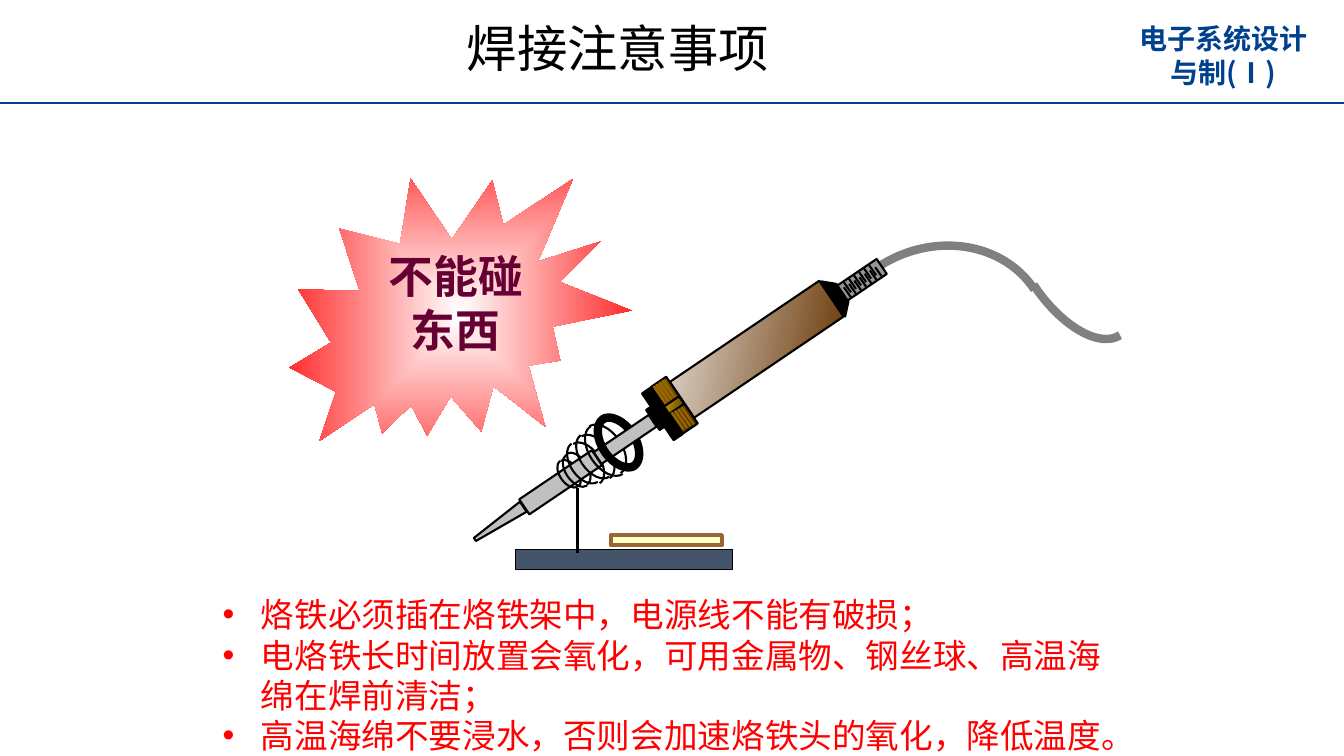
from lxml.etree import SubElement
from pptx import Presentation
from pptx.dml.color import RGBColor
from pptx.enum.shapes import MSO_CONNECTOR, MSO_SHAPE
from pptx.enum.text import MSO_ANCHOR, PP_ALIGN
from pptx.oxml.ns import qn
from pptx.util import Inches, Pt

SANS_JP = "Noto Sans CJK JP"
SANS_SC = "Noto Sans CJK SC"
TILT = 55.9


def rgb(value):
    return RGBColor.from_string(value)


def add_text(s, box, lines, size, font, color, bold=False, align=PP_ALIGN.LEFT,
             anchor=MSO_ANCHOR.MIDDLE, spacing=None, bullet=False, east_asian=None):
    tf = s.shapes.add_textbox(*map(Inches, box)).text_frame
    tf.word_wrap = True
    tf.vertical_anchor = anchor
    tf.text = "\n".join(lines)
    for p in tf.paragraphs:
        p.alignment = align
        if spacing:
            p.line_spacing = spacing
        if bullet:
            pPr = p._p.get_or_add_pPr()
            pPr.set("marL", str(Inches(0.38)))
            pPr.set("indent", str(-Inches(0.38)))
            SubElement(pPr, qn("a:buFont")).set("typeface", "Arial")
            SubElement(pPr, qn("a:buChar")).set("char", "•")
        r = p.runs[0]
        r.font.size, r.font.name, r.font.bold = Pt(size), font, bold
        r.font.color.rgb = rgb(color)
        SubElement(r._r.get_or_add_rPr(), qn("a:ea")).set("typeface", east_asian or font)


def paint(sp, fill=None, line=None, width=1.5):
    """Fill with one colour, a pair of gradient colours, or nothing."""
    sp.shadow.inherit = False
    if fill is None:
        sp.fill.background()
    elif isinstance(fill, tuple):
        sp.fill.gradient()
        sp.fill.gradient_angle = 45
        for stop, color, position in zip(sp.fill.gradient_stops, fill, (0, 1)):
            stop.color.rgb, stop.position = rgb(color), position
    else:
        sp.fill.solid()
        sp.fill.fore_color.rgb = rgb(fill)
    if line:
        sp.line.color.rgb = rgb(line)
        sp.line.width = Pt(width)
    else:
        sp.line.fill.background()


def add_block(s, box, fill, line="000000", width=1.5, rotation=0, kind=MSO_SHAPE.RECTANGLE):
    sp = s.shapes.add_shape(kind, *map(Inches, box))
    sp.rotation = rotation
    paint(sp, fill, line, width)
    return sp


def add_line(s, x1, y1, x2, y2, color, width=1.5):
    line = s.shapes.add_connector(MSO_CONNECTOR.STRAIGHT, *map(Inches, (x1, y1, x2, y2)))
    line.line.color.rgb = rgb(color)
    line.line.width = Pt(width)
    SubElement(line._element.spPr, qn("a:effectLst"))


def add_outline(s, box, points, rotation, fill, line, width=1.5, close=True):
    """Outline through points given as fractions of the box."""
    x, y, w, h = box
    points = [(Inches(x + fx * w), Inches(y + fy * h)) for fx, fy in points]
    fb = s.shapes.build_freeform(*points[0])
    fb.add_line_segments(points[1:], close=close)
    sp = fb.convert_to_shape()
    sp.rotation = rotation
    paint(sp, fill, line, width)
    return sp


def add_arc(s, box, quarters, rotation, color, width):
    """Quarter ellipses, each given as centre, start and end."""
    k = 0.55
    points = [quarters[0][1]]
    for c, a, b in quarters:
        points.append([a[i] + k * (b[i] - c[i]) for i in (0, 1)])
        points.append([b[i] + k * (a[i] - c[i]) for i in (0, 1)])
        points.append(b)
    sp = add_outline(s, box, points, rotation, None, color, width, close=False)
    # Turn each three segments into one Bezier curve
    segments = list(sp._element.iter(qn("a:lnTo")))
    trace = segments[0].getparent()
    for i in range(0, len(segments), 3):
        curve = SubElement(trace, qn("a:cubicBezTo"))
        for segment in segments[i:i + 3]:
            curve.append(segment[0])
            trace.remove(segment)


def add_hatch(s, first, last, stroke, count, color):
    for i in range(count):
        x, y = [a + (b - a) * i / (count - 1) for a, b in zip(first, last)]
        add_line(s, x, y, x + stroke[0], y + stroke[1], color)


def header(s, x, y, w):
    add_text(s, (x + w - 2.19, y + 0.27, 1.99, 0.56), ["电子系统设计与制(Ⅰ)"], 20,
             SANS_SC, "00418D", bold=True, align=PP_ALIGN.CENTER)
    add_line(s, x, y + 1.02, x + w, y + 1.02, "003F8C")
    add_text(s, (x + 4.53, y + 0.14, 4.39, 0.74), ["焊接注意事项"], 36, SANS_JP,
             "000000", spacing=0.9)


def coil(s, x, y, rings, base, rotation):
    """Half rings whose flat side lies at the top (0) or bottom (1) of each box."""
    center, peak = (0.5, base), (0.5, 1 - base)
    quarters = [(center, (1, base), peak), (center, peak, (0, base))]
    for left, top, w, h, width in rings:
        add_arc(s, (x + left, y + top, w, h), quarters, rotation, "000000", width)


def back_coil(s, x, y):
    coil(s, x, y, [(1.58, 2.57, 0.37, 0.11, 1.5), (1.64, 2.49, 0.47, 0.14, 1.5),
                   (1.72, 2.42, 0.5, 0.15, 1.5), (1.79, 2.33, 0.56, 0.17, 1.5),
                   (1.92, 2.26, 0.56, 0.17, 6), (1.53, 2.63, 0.31, 0.09, 1.5)], 0, 236)


def front_coil(s, x, y):
    coil(s, x, y, [(1.49, 2.64, 0.37, 0.11, 1.5), (1.51, 2.56, 0.46, 0.14, 1.5),
                   (1.59, 2.49, 0.5, 0.15, 1.5), (1.66, 2.43, 0.57, 0.17, 1.5),
                   (1.79, 2.35, 0.56, 0.17, 6), (1.45, 2.68, 0.31, 0.09, 1.5)], 1, 235.6)


def iron(s, x, y):
    def part(left, top, w, h, fill):
        add_block(s, (x + left, y + top, w, h), fill, rotation=TILT)

    def outline(left, top, w, h, points, fill):
        add_outline(s, (x + left, y + top, w, h), points, TILT, fill, "000000")

    def hatch(first, last, stroke, count, color):
        add_hatch(s, (x + first[0], y + first[1]), (x + last[0], y + last[1]),
                  stroke, count, color)

    # Cable
    add_arc(s, (x + 4.9, y + 0.24, 1.17, 1.04), [((0, 1), (0, 0), (1, 1))],
            326.6, "808080", 6)
    add_arc(s, (x + 6.46, y + 0.63, 0.44, 0.89), [((1, 0), (1, 1), (0, 0))],
            326.6, "808080", 6)
    # Handle and collar
    part(3.29, 0.57, 0.43, 1.79, ("E3DAD1", "663300"))
    outline(4.1, 0.88, 0.42, 0.11, [(0, 1), (0.25, 0), (0.75, 0), (1, 1)], "000000")
    part(2.41, 1.93, 0.56, 0.18, ("996600", "472F00"))
    part(2.29, 2.05, 0.56, 0.11, "000000")
    part(2.38, 2.12, 0.24, 0.06, "000000")
    # Shaft and tip
    part(2.13, 2.03, 0.14, 0.66, "C0C0C0")
    part(1.47, 2.35, 0.18, 0.87, "C0C0C0")
    outline(0.89, 2.9, 0.12, 0.58, [(0, 0), (0.35, 1), (0.65, 1), (1, 0)], "C0C0C0")
    # Cable grip
    part(4.46, 0.54, 0.18, 0.47, "969696")
    hatch((4.68, 0.65), (4.37, 0.85), (0.07, 0.1), 7, "000000")
    hatch((4.62, 0.63), (4.37, 0.8), (0.07, 0.1), 6, "000000")
    # Collar band and grooves
    part(2.64, 1.93, 0.09, 0.18, ("CC9900", "5E4700"))
    hatch((2.48, 1.83), (2.57, 1.77), (0.12, 0.17), 4, "996600")
    hatch((2.66, 2.09), (2.76, 2.04), (0.12, 0.17), 4, "996600")


def stand(s, x, y):
    add_block(s, (x, y + 0.61, 2.16, 0.2), "44546A", width=0.75)
    add_line(s, x + 0.62, y + 0.65, x + 0.62, y, "000000", 2.25)
    add_block(s, (x + 0.95, y + 0.47, 1.1, 0.1), "FFFFCC", "996633", 3)


def warning(s, x, y, w, h):
    burst = add_block(s, (x, y, w, h), ("FFFFFF", "FF0000"), None,
                      rotation=20.4, kind=MSO_SHAPE.EXPLOSION2)
    # Radial gradient from the middle
    grad = burst._element.spPr.find(qn("a:gradFill"))
    grad.remove(grad.find(qn("a:lin")))
    radial = SubElement(grad, qn("a:path"))
    radial.set("path", "shape")
    middle = SubElement(radial, qn("a:fillToRect"))
    for edge in "ltrb":
        middle.set(edge, "50000")
    add_text(s, (x + 0.77, y + 0.95, 1.56, 1.17), ["不能碰东西"], 32, "Times New Roman",
             "660033", bold=True, align=PP_ALIGN.CENTER, anchor=MSO_ANCHOR.TOP,
             east_asian=SANS_SC)


def notes_list(s, x, y, w, h):
    add_text(s, (x, y, w, h), [
        "烙铁必须插在烙铁架中，电源线不能有破损；",
        "电烙铁长时间放置会氧化，可用金属物、钢丝球、高温海绵在焊前清洁；",
        "高温海绵不要浸水，否则会加速烙铁头的氧化，降低温度。",
    ], 24, SANS_JP, "FF0000", bullet=True)


def main():
    prs = Presentation()
    prs.slide_width, prs.slide_height = Inches(13.33), Inches(7.5)
    s = prs.slides.add_slide(prs.slide_layouts[6])
    header(s, 0, 0, 13.33)
    back_coil(s, 4, 2)
    iron(s, 4, 2)
    stand(s, 5.11, 4.84)
    warning(s, 2.97, 1.47, 3.17, 3.31)
    front_coil(s, 4, 2)
    notes_list(s, 2.11, 5.95, 9.16, 1.49)
    prs.save("out.pptx")


if __name__ == "__main__":
    main()
